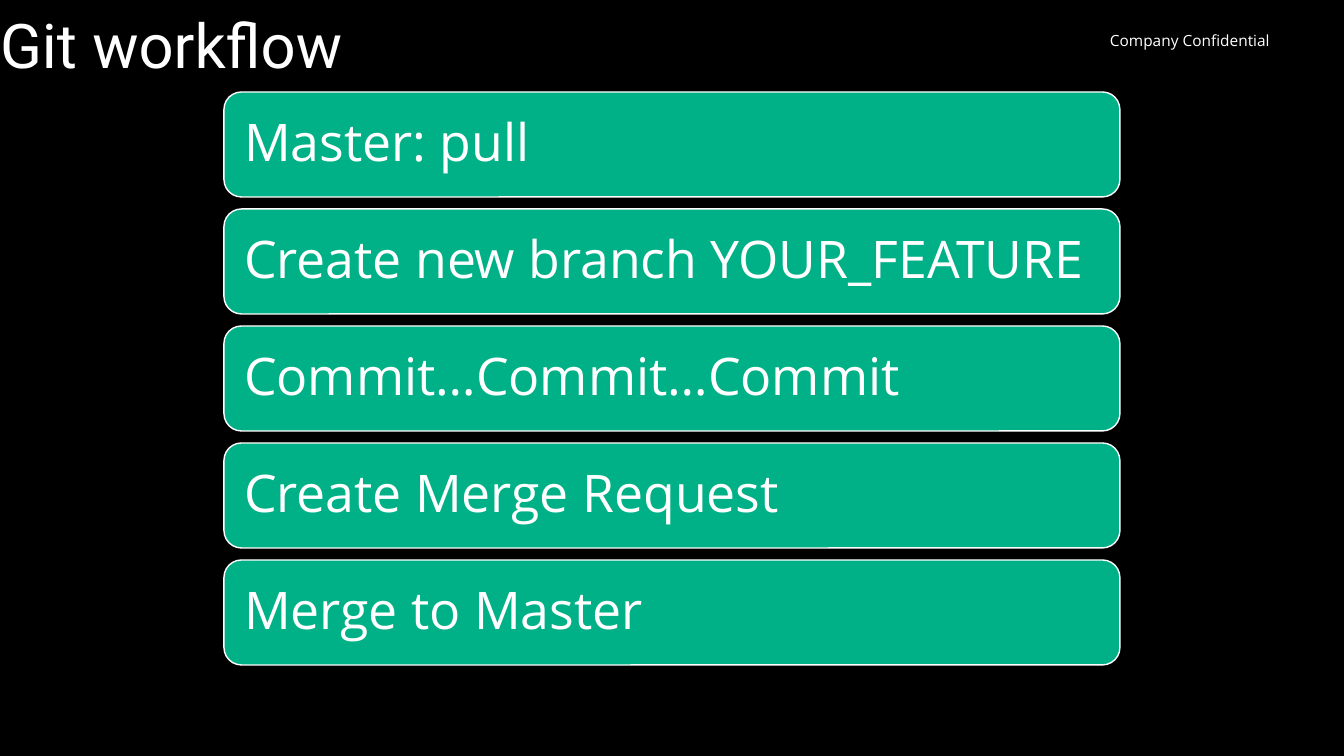
from pptx import Presentation
from pptx.dml.color import RGBColor
from pptx.enum.shapes import MSO_SHAPE
from pptx.enum.text import MSO_ANCHOR, MSO_AUTO_SIZE, PP_ALIGN
from pptx.util import Pt

HEADING = "Git workflow"
NOTICE = "Company Confidential"
STEPS = [
    "Master: pull",
    "Create new branch YOUR_FEATURE",
    "Commit…Commit…Commit",
    "Create Merge Request",
    "Merge to Master",
]

BLACK = RGBColor(0x00, 0x00, 0x00)
WHITE = RGBColor(0xFF, 0xFF, 0xFF)
GREEN = RGBColor(0x00, 0xB1, 0x88)

SLIDE_WIDTH, SLIDE_HEIGHT = 1344, 756
STEP_LEFT, STEP_TOP, STEP_WIDTH, STEP_HEIGHT = 224, 92, 896, 105
STEP_GAP = 12


def px(length):
    return round(length * 914400 / 100.8)


def place(shape, left, top, width, height):
    shape.left, shape.top = px(left), px(top)
    shape.width, shape.height = px(width), px(height)


def write(shape, text, size, font, align, anchor, insets, line_spacing):
    frame = shape.text_frame
    frame.word_wrap = True
    frame.auto_size = MSO_AUTO_SIZE.NONE
    frame.vertical_anchor = anchor
    frame.margin_left, frame.margin_top, frame.margin_right, frame.margin_bottom = map(px, insets)
    paragraph = frame.paragraphs[0]
    paragraph.alignment = align
    paragraph.line_spacing = line_spacing
    run = paragraph.add_run()
    run.text = text
    run.font.size = Pt(size)
    run.font.name = font
    run.font.color.rgb = WHITE


def main():
    deck = Presentation()
    deck.slide_width, deck.slide_height = px(SLIDE_WIDTH), px(SLIDE_HEIGHT)
    slide = deck.slides.add_slide(deck.slide_layouts[5])
    slide.background.fill.solid()
    slide.background.fill.fore_color.rgb = BLACK

    heading = slide.shapes.title
    place(heading, 0, 10, 1192, 76)
    write(heading, HEADING, 44, "Roboto", PP_ALIGN.LEFT, MSO_ANCHOR.TOP, (0, 5, 10, 5), 0.9)

    notice = slide.shapes.add_textbox(px(1046), px(26), px(234), px(29))
    write(notice, NOTICE, 11, "Open Sans", PP_ALIGN.RIGHT, MSO_ANCHOR.TOP, (10, 5, 10, 5), 1.0)

    for index, step in enumerate(STEPS):
        top = STEP_TOP + index * (STEP_HEIGHT + STEP_GAP)
        bar = slide.shapes.add_shape(
            MSO_SHAPE.ROUNDED_RECTANGLE,
            px(STEP_LEFT), px(top), px(STEP_WIDTH), px(STEP_HEIGHT),
        )
        bar.shadow.inherit = False
        bar.fill.solid()
        bar.fill.fore_color.rgb = GREEN
        bar.line.color.rgb = WHITE
        bar.line.width = Pt(1)
        write(bar, step, 37, "Open Sans", PP_ALIGN.LEFT, MSO_ANCHOR.MIDDLE, (15, 15, 15, 15), 0.9)

    deck.save("out.pptx")


if __name__ == "__main__":
    main()
